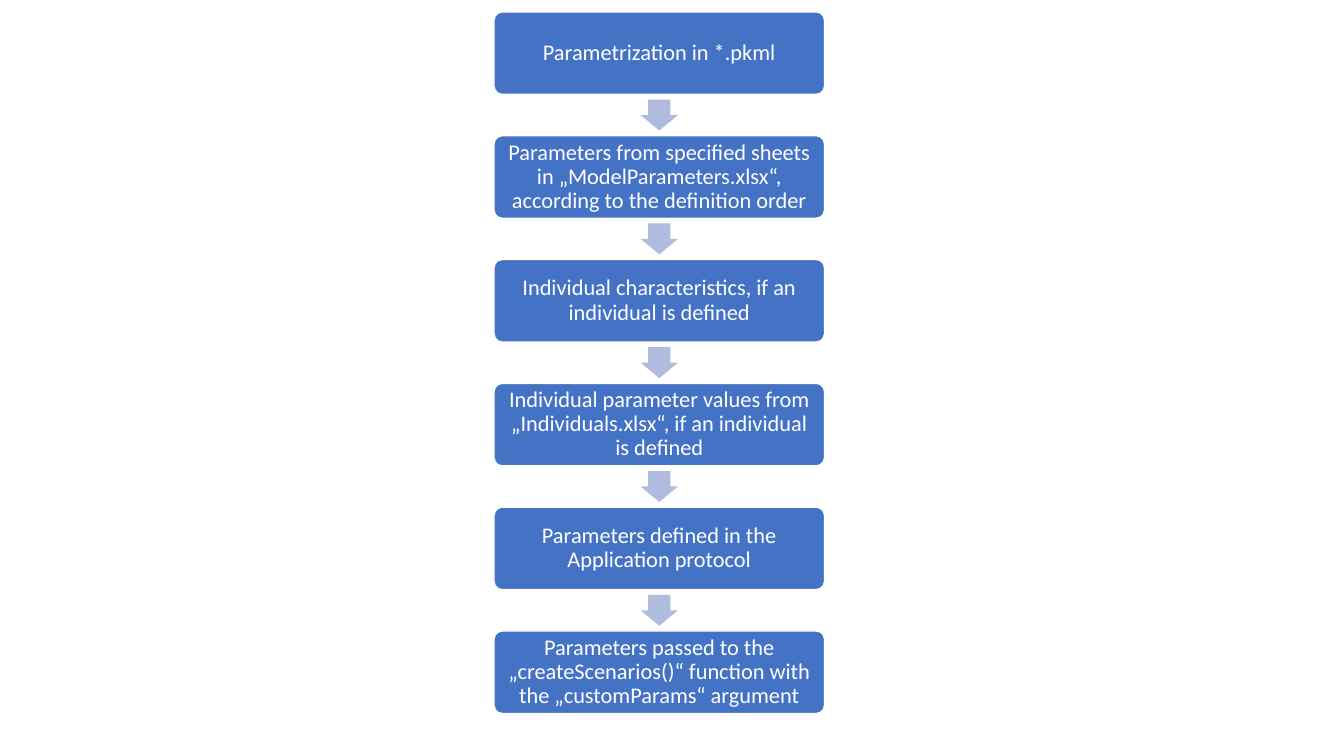
import pptx
import pptx.util
import pptx.dml.color
import pptx.enum.shapes
import pptx.enum.text

Cm = pptx.util.Cm
Pt = pptx.util.Pt
SHAPES = pptx.enum.shapes.MSO_SHAPE

# Content: parameter sources in the order they are applied
STEPS = [
    "Parametrization in *.pkml",
    "Parameters from specified sheets in „ModelParameters.xlsx“, according to the definition order",
    "Individual characteristics, if an individual is defined",
    "Individual parameter values from „Individuals.xlsx“, if an individual is defined",
    "Parameters defined in the Application protocol",
    "Parameters passed to the „createScenarios()“ function with the „customParams“ argument",
]

# Layout in centimetres
BOX_LEFT, FIRST_TOP = 12.45, 0.3
BOX_WIDTH, BOX_HEIGHT = 8.33, 2.08
STEP_PITCH = 3.12
ARROW_LENGTH, ARROW_BREADTH = 0.78, 0.94
TEXT_INSET = 0.18

BOX_COLOR, ARROW_COLOR, WHITE = "4472C4", "B0BCDE", "FFFFFF"


def color(hex_code):
    return pptx.dml.color.RGBColor.from_string(hex_code)


def add_filled_shape(slide, kind, left, top, width, height, fill):
    shape = slide.shapes.add_shape(kind, Cm(left), Cm(top), Cm(width), Cm(height))
    shape.shadow.inherit = False
    shape.fill.solid()
    shape.fill.fore_color.rgb = color(fill)
    return shape


def add_step(slide, text, top):
    box = add_filled_shape(slide, SHAPES.ROUNDED_RECTANGLE,
                           BOX_LEFT, top, BOX_WIDTH, BOX_HEIGHT, BOX_COLOR)
    box.adjustments[0] = 0.1
    box.line.color.rgb = color(WHITE)
    box.line.width = Pt(1)

    frame = box.text_frame
    frame.word_wrap = True
    frame.vertical_anchor = pptx.enum.text.MSO_ANCHOR.MIDDLE
    frame.margin_left = frame.margin_right = Cm(TEXT_INSET)
    frame.margin_top = frame.margin_bottom = Cm(TEXT_INSET)

    paragraph = frame.paragraphs[0]
    paragraph.text = text
    paragraph.alignment = pptx.enum.text.PP_ALIGN.CENTER
    paragraph.line_spacing = 0.9
    paragraph.font.name = "Calibri"
    paragraph.font.size = Pt(16)
    paragraph.font.color.rgb = color(WHITE)


def add_down_arrow(slide, center_x, center_y):
    arrow = add_filled_shape(slide, SHAPES.RIGHT_ARROW,
                             center_x - ARROW_LENGTH / 2, center_y - ARROW_BREADTH / 2,
                             ARROW_LENGTH, ARROW_BREADTH, ARROW_COLOR)
    arrow.adjustments[0] = 0.6
    arrow.adjustments[1] = 0.5
    arrow.rotation = 90
    arrow.line.fill.background()


def main():
    presentation = pptx.Presentation()
    presentation.slide_width = Cm(33.87)
    presentation.slide_height = Cm(19.05)
    slide = presentation.slides.add_slide(presentation.slide_layouts[6])

    # Boxes down the middle, with an arrow centred in each gap
    for index, text in enumerate(STEPS):
        top = FIRST_TOP + index * STEP_PITCH
        add_step(slide, text, top)
        if index < len(STEPS) - 1:
            add_down_arrow(slide, BOX_LEFT + BOX_WIDTH / 2,
                           top + (BOX_HEIGHT + STEP_PITCH) / 2)

    presentation.save("out.pptx")


if __name__ == "__main__":
    main()
